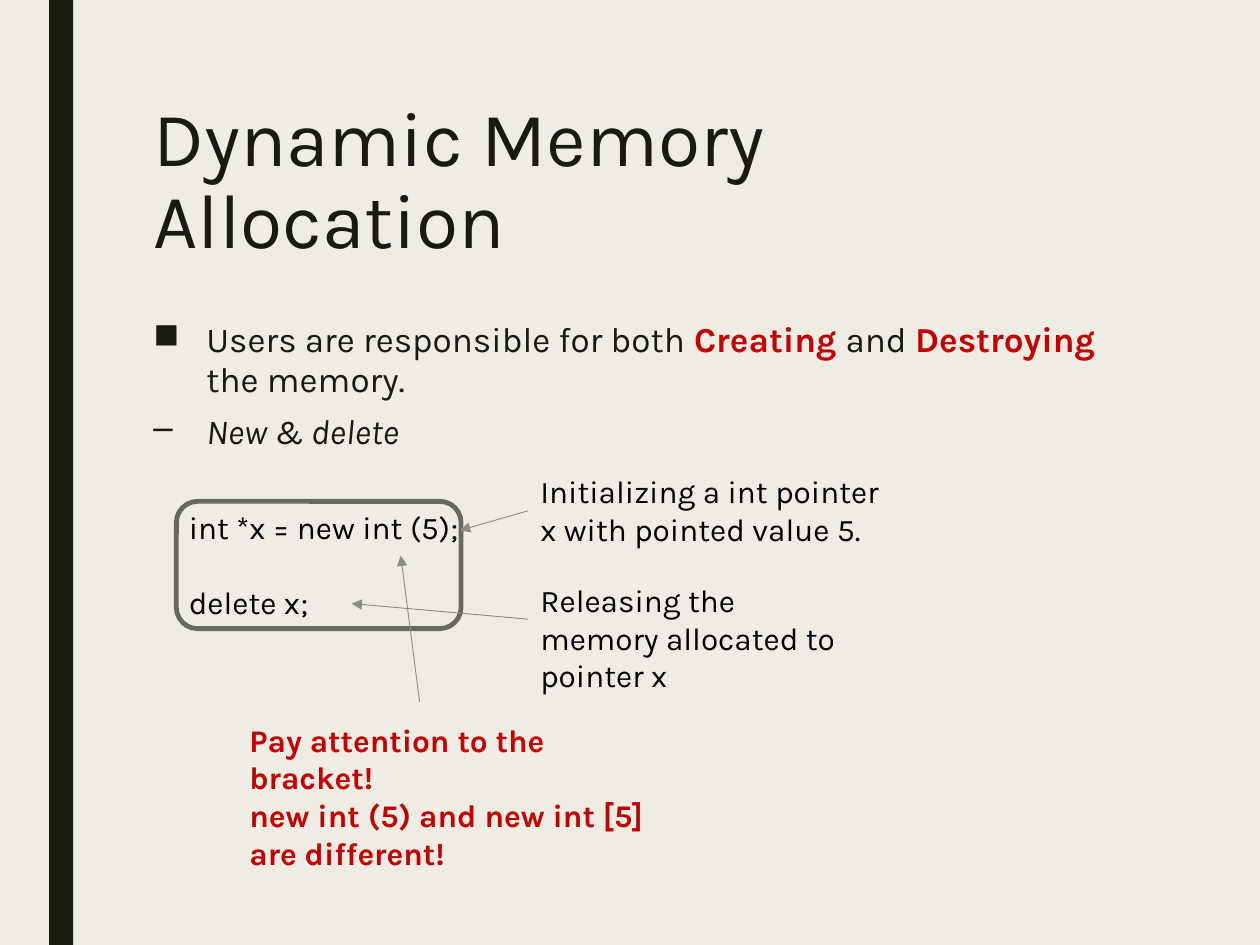
"""Build the slide on dynamic memory allocation."""
import dataclasses
import typing

import lxml.etree
import pptx
import pptx.dml.color
import pptx.enum.shapes
import pptx.enum.text
import pptx.oxml
import pptx.oxml.ns
import pptx.util

Pt = pptx.util.Pt
qn = pptx.oxml.ns.qn
FONT, INK, RED, BLACK, GREY = "Karla", "191B0E", "C00000", "000000", "8C8D86"


@dataclasses.dataclass
class Box:
    x: float
    y: float
    w: float
    h: float

    def lengths(self) -> list:
        return [Pt(v) for v in (self.x, self.y, self.w, self.h)]


@dataclasses.dataclass
class Run:
    text: str
    color: str = INK
    bold: bool = False
    italic: bool = False


@dataclasses.dataclass
class Para:
    runs: list[Run]
    bullet: str = ""
    level: int = 0
    before: float = 0
    after: float = 0


@dataclasses.dataclass
class Note:
    box: Box
    lines: list[str]
    color: str = BLACK
    bold: bool = False
    gap: float = 0


@dataclasses.dataclass
class Arrow:
    start: tuple[float, float]
    end: tuple[float, float]
    source: typing.Optional[int] = None


def rgb(value: str) -> pptx.dml.color.RGBColor:
    return pptx.dml.color.RGBColor.from_string(value)


def add_bullet(p, char: str, indent: float) -> None:
    pPr = p._p.get_or_add_pPr()
    pPr.set("marL", str(Pt(indent)))
    pPr.set("indent", str(-Pt(indent)))
    lxml.etree.SubElement(pPr, qn("a:buChar")).set("char", char)


def add_text(s, box: Box, paras: list[Para], *, size: float, spacing: float = 1.0):
    sp = s.shapes.add_textbox(*box.lengths())
    tf = sp.text_frame
    tf.word_wrap = True
    tf.auto_size = pptx.enum.text.MSO_AUTO_SIZE.NONE
    for i, para in enumerate(paras):
        p = tf.add_paragraph() if i else tf.paragraphs[0]
        if para.bullet:
            add_bullet(p, para.bullet, 30.25)
        p.level = para.level
        p.line_spacing = spacing
        p.space_before, p.space_after = Pt(para.before), Pt(para.after)
        for run in para.runs:
            r = p.add_run()
            r.text = run.text
            r.font.name, r.font.size = FONT, Pt(size)
            r.font.bold, r.font.italic = run.bold, run.italic
            r.font.color.rgb = rgb(run.color)
    return sp


def add_note(s, note: Note):
    paras = [Para([Run(line, note.color, note.bold)], before=note.gap if i else 0)
             for i, line in enumerate(note.lines)]
    return add_text(s, note.box, paras, size=18)


def add_box(s, kind, box: Box, *, fill: str = "", line: str = "", width: float = 0) -> None:
    sp = s.shapes.add_shape(kind, *box.lengths())
    sp.shadow.inherit = False
    if fill:
        sp.fill.solid()
        sp.fill.fore_color.rgb = rgb(fill)
    else:
        sp.fill.background()
    if line:
        sp.line.color.rgb = rgb(line)
        sp.line.width = Pt(width)
    else:
        sp.line.fill.background()


def add_arrow(s, arrow: Arrow, notes: list) -> None:
    points = [Pt(v) for v in arrow.start + arrow.end]
    sp = s.shapes.add_connector(pptx.enum.shapes.MSO_CONNECTOR.STRAIGHT, *points)
    if arrow.source is not None:
        sp.begin_connect(notes[arrow.source], 1)
    sp.line.color.rgb = rgb(GREY)
    sp.line.width = Pt(0.5)
    ln = sp.line._get_or_add_ln()
    lxml.etree.SubElement(ln, qn("a:tailEnd")).set("type", "triangle")
    lxml.etree.SubElement(sp._element.spPr, qn("a:effectLst"))


BODY = [
    Para([Run("Users are responsible for both "), Run("Creating ", RED, True),
          Run("and "), Run("Destroying ", RED, True), Run("the memory.")],
         bullet="■", after=2),
    Para([Run("New & delete", italic=True)], bullet="–", level=1, before=5, after=2),
]
NOTES = [
    Note(Box(100.8, 286.5, 188, 72.7), ["int *x = new int (5);", "delete x;"], gap=21.6),
    Note(Box(301.7, 266.4, 208, 51), ["Initializing a int pointer x with pointed value 5."]),
    Note(Box(301.7, 328.3, 192.2, 51), ["Releasing the memory allocated to pointer x"]),
    Note(Box(135.4, 408.2, 242, 72.7),
         ["Pay attention to the bracket!", "new int (5) and new int [5] are different!"],
         RED, True),
]
ARROWS = [
    Arrow((301.7, 291.9), (262.8, 303.1), source=1),
    Arrow((301.7, 353.8), (200.9, 344.9), source=2),
    Arrow((239.8, 401), (229, 317.5)),
]


def main() -> None:
    prs = pptx.Presentation()
    prs.slide_width, prs.slide_height = Pt(720), Pt(540)
    s = prs.slides.add_slide(prs.slide_layouts[6])
    s.background.fill.solid()
    s.background.fill.fore_color.rgb = rgb("EFEDE3")
    shapes = pptx.enum.shapes.MSO_SHAPE
    add_box(s, shapes.RECTANGLE, Box(28.1, 0, 13.7, 540), fill=INK)
    add_text(s, Box(80.6, 54, 567.4, 116.6), [Para([Run("Dynamic Memory Allocation")])],
             size=44, spacing=0.89)
    add_text(s, Box(80.6, 180, 567.4, 92.2), BODY, size=20, spacing=0.94)
    notes = [add_note(s, note) for note in NOTES]
    add_box(s, shapes.ROUNDED_RECTANGLE, Box(100.8, 286.5, 162.7, 72.7),
            line="686863", width=2.75)
    for arrow in ARROWS:
        add_arrow(s, arrow, notes)
    prs.save("out.pptx")


if __name__ == "__main__":
    main()
